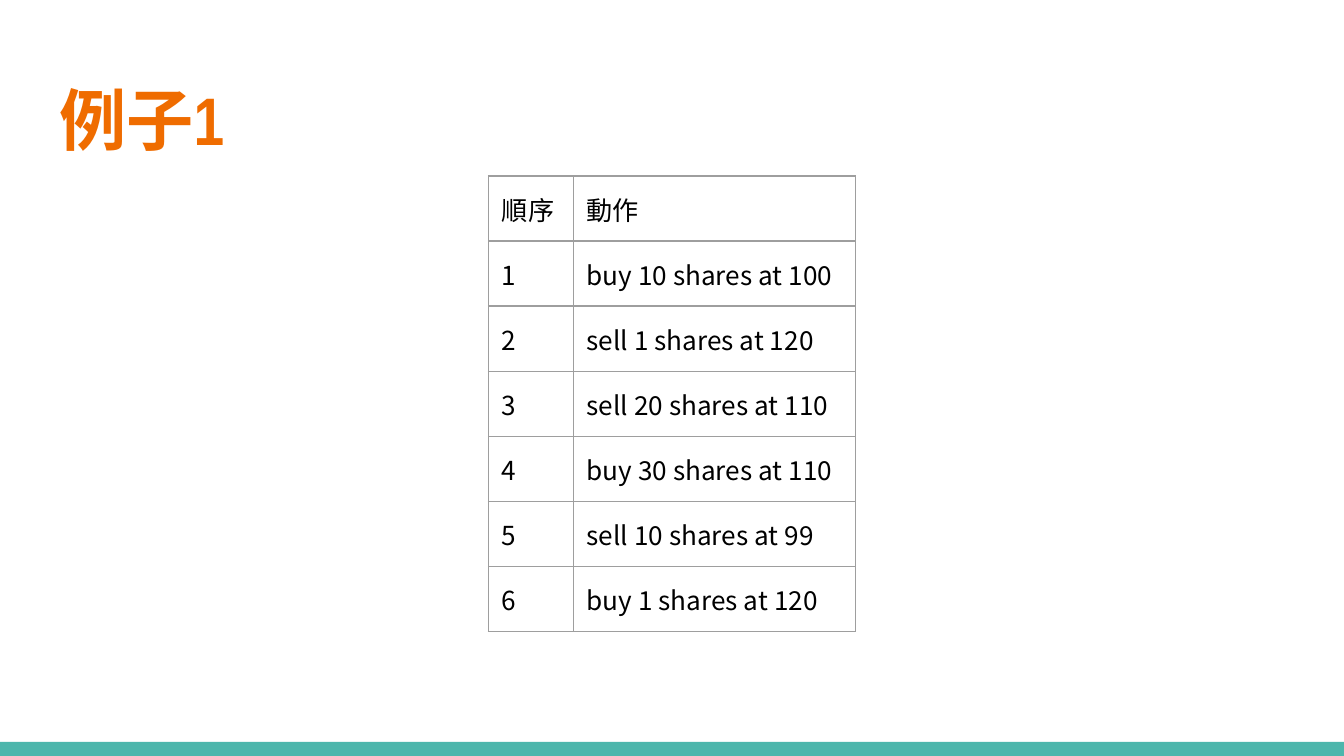
from lxml import etree
from pptx import Presentation
from pptx.dml.color import RGBColor
from pptx.enum.shapes import MSO_SHAPE
from pptx.enum.text import MSO_ANCHOR, MSO_AUTO_SIZE, PP_ALIGN
from pptx.oxml.ns import qn
from pptx.util import Inches, Pt

RECTANGLE = MSO_SHAPE.RECTANGLE
MIDDLE = MSO_ANCHOR.MIDDLE
LEFT = PP_ALIGN.LEFT
NO_AUTOFIT = MSO_AUTO_SIZE.NONE

TEAL = RGBColor(0x4D, 0xB6, 0xAC)
ORANGE = RGBColor(0xEF, 0x6C, 0x00)
BLACK = RGBColor(0x00, 0x00, 0x00)
GRAY = RGBColor(0x9E, 0x9E, 0x9E)

SLIDE_WIDTH = Inches(10)
SLIDE_HEIGHT = SLIDE_WIDTH * 9 // 16

TITLE_FONT = {"name": "Arial Narrow", "size": Pt(36), "bold": True}
CELL_FONT = {"name": "Noto Sans CJK TC", "size": Pt(14), "bold": False}
MARGINS = {f"margin_{side}": Inches(0.1) for side in ("left", "top", "right", "bottom")}
TITLE_FRAME = {**MARGINS, "vertical_anchor": MIDDLE, "word_wrap": True, "auto_size": NO_AUTOFIT}
CELL_FORMAT = {**MARGINS, "vertical_anchor": MIDDLE}

COLUMN_WIDTHS = (0.63, 2.1)
ROW_HEIGHT = 0.42
HEADER = ("順序", "動作")
ORDERS = (
    "buy 10 shares at 100",
    "sell 1 shares at 120",
    "sell 20 shares at 110",
    "buy 30 shares at 110",
    "sell 10 shares at 99",
    "buy 1 shares at 120",
)


def apply_format(target, values):
    """Set each attribute of target from a dict of values."""
    for attribute, value in values.items():
        setattr(target, attribute, value)


def write_text(frame, wording, font_format, color):
    """Write one left-aligned run with the same Latin and East Asian font."""
    paragraph = frame.paragraphs[0]
    paragraph.alignment = LEFT
    run = paragraph.add_run()
    run.text = wording
    apply_format(run.font, font_format)
    run.font.color.rgb = color
    east_asian = etree.SubElement(run.font._element, qn("a:ea"))
    east_asian.set("typeface", font_format["name"])


def add_title(slide, wording):
    """Place and format the slide title."""
    title = slide.shapes.title
    title.left, title.top = Inches(0.34), Inches(0.5)
    title.width, title.height = Inches(9.32), Inches(0.77)
    apply_format(title.text_frame, TITLE_FRAME)
    write_text(title.text_frame, wording, TITLE_FONT, ORANGE)


def add_footer_band(slide):
    """Draw the teal band along the bottom edge."""
    top = Inches(5.52)
    band = slide.shapes.add_shape(RECTANGLE, 0, top, SLIDE_WIDTH, SLIDE_HEIGHT - top)
    band.shadow.inherit = False
    band.fill.solid()
    band.fill.fore_color.rgb = TEAL
    band.line.fill.background()


def add_borders(cell):
    """Draw a thin gray line on all four sides of a cell."""
    properties = cell._tc.get_or_add_tcPr()
    for position, side in enumerate(("a:lnL", "a:lnR", "a:lnT", "a:lnB")):
        border = etree.Element(qn(side), w=str(Pt(0.75)))
        fill = etree.SubElement(border, qn("a:solidFill"))
        etree.SubElement(fill, qn("a:srgbClr"), val=str(GRAY))
        properties.insert(position, border)


def add_order_table(slide):
    """Add the horizontally centred table of numbered buy and sell orders."""
    records = [HEADER, *((str(number), order) for number, order in enumerate(ORDERS, 1))]
    table_width = Inches(sum(COLUMN_WIDTHS))
    table = slide.shapes.add_table(
        len(records), len(HEADER), (SLIDE_WIDTH - table_width) // 2, Inches(1.31),
        table_width, Inches(ROW_HEIGHT * len(records)),
    ).table
    apply_format(table, {"first_row": False, "horz_banding": False})
    for column, width in zip(table.columns, COLUMN_WIDTHS):
        column.width = Inches(width)
    for row, record in zip(table.rows, records):
        row.height = Inches(ROW_HEIGHT)
        for cell, wording in zip(row.cells, record):
            apply_format(cell, CELL_FORMAT)
            cell.fill.background()
            add_borders(cell)
            write_text(cell.text_frame, wording, CELL_FONT, BLACK)


def main():
    """Build the slide and save it."""
    presentation = Presentation()
    presentation.slide_width = SLIDE_WIDTH
    presentation.slide_height = SLIDE_HEIGHT
    slide = presentation.slides.add_slide(presentation.slide_layouts[5])
    add_footer_band(slide)
    add_title(slide, "例子1")
    add_order_table(slide)
    presentation.save("out.pptx")


if __name__ == "__main__":
    main()
